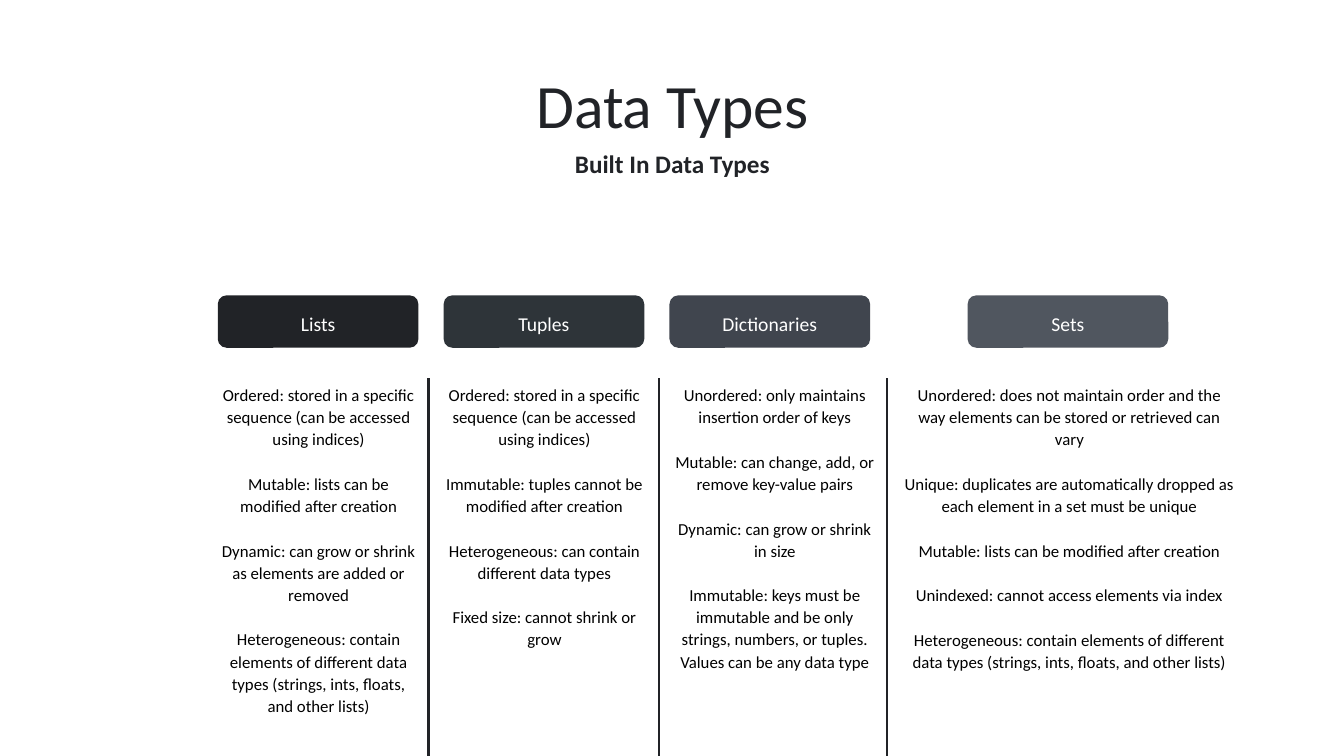
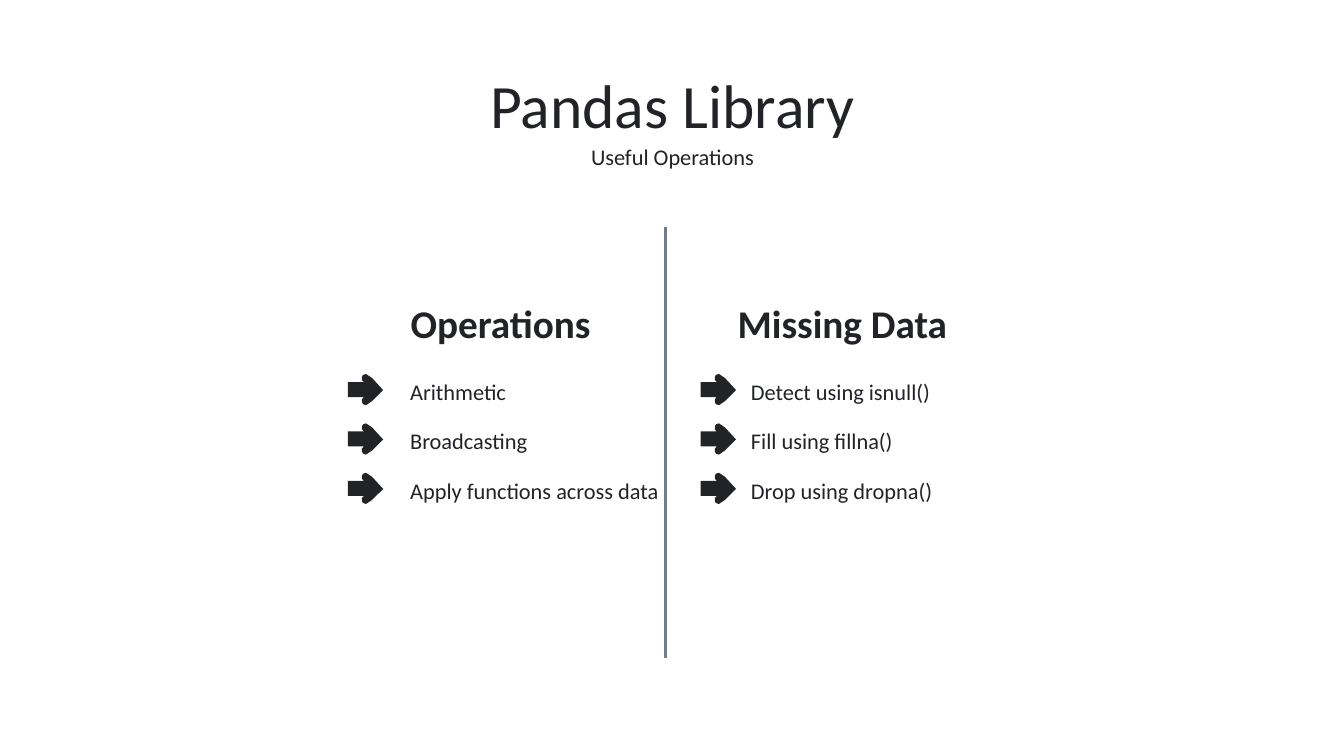
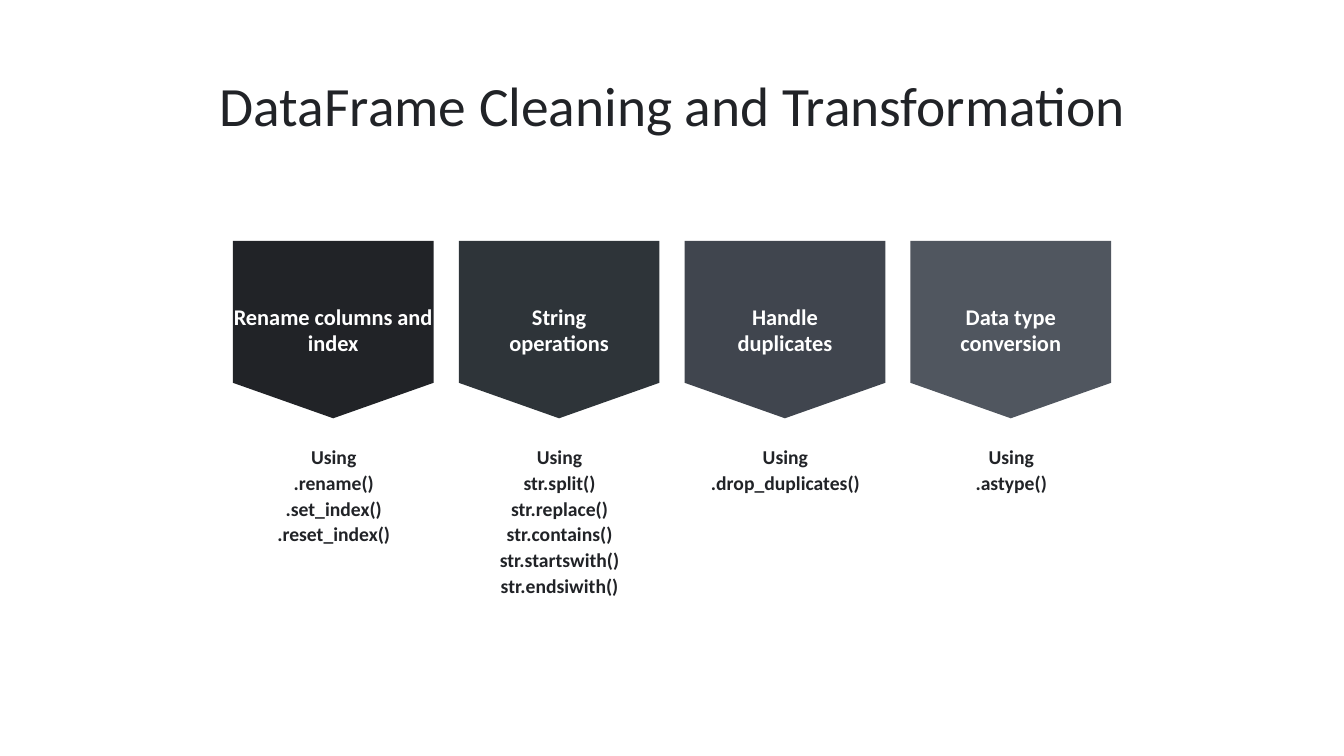
from dataclasses import dataclass

from lxml.etree import SubElement
from pptx import Presentation
from pptx.dml.color import RGBColor
from pptx.enum.shapes import MSO_CONNECTOR, MSO_SHAPE
from pptx.enum.text import MSO_ANCHOR, PP_ALIGN
from pptx.oxml.ns import qn
from pptx.util import Inches, Pt


@dataclass(frozen=True)
class Theme:
    """Colours, font and type sizes shared by the slides."""
    font: str = "Calibri"
    ink: str = "212327"
    black: str = "000000"
    white: str = "FFFFFF"
    rule: str = "717B8A"
    shades: tuple = ("212327", "2E3439", "40454E", "50565F")
    title: float = 44
    long_title: float = 39.6
    section: float = 28
    subtitle: float = 18
    label: float = 16
    heading: float = 14
    detail: float = 12
    rule_width: float = 1.5


@dataclass(frozen=True)
class Grid:
    """Evenly pitched columns and rows, in inches."""
    left: float
    top: float
    column_pitch: float
    row_pitch: float

    def at(self, column, row):
        """Return the left and top of a cell."""
        return (self.left + column * self.column_pitch,
                self.top + row * self.row_pitch)


THEME = Theme()
WIDTH, HEIGHT = 13.33, 7.5
CARD_WIDTH, DETAIL_WIDTH, DETAIL_SHIFT = 1.99, 2.18, -0.09
TYPE_GRID = Grid(2.16, 2.93, 2.24, 0.82)
CLEANING_GRID = Grid(2.31, 2.39, 2.24, 1.95)
OPERATION_GRID = Grid(3.45, 3.7, 3.5, 0.49)

ARROW_HEIGHT = 31
ARROW_UPPER_EDGE = [(0, 8), (16, 8), (14, 6), (14, 3), (15, 1), (18, 0),
                    (21, 2), (24, 4), (35, 15.5)]

DATA_TYPES = [
    ("Lists", 0, 0, DETAIL_WIDTH, [
        "Ordered: stored in a specific sequence (can be accessed using indices)",
        "Mutable: lists can be modified after creation",
        "Dynamic: can grow or shrink as elements are added or removed",
        "Heterogeneous: contain elements of different data types "
        "(strings, ints, floats, and other lists)"]),
    ("Tuples", 1, 1, DETAIL_WIDTH, [
        "Ordered: stored in a specific sequence (can be accessed using indices)",
        "Immutable: tuples cannot be modified after creation",
        "Heterogeneous: can contain different data types",
        "Fixed size: cannot shrink or grow"]),
    ("Dictionaries", 2, 2.02, DETAIL_WIDTH, [
        "Unordered: only maintains insertion order of keys",
        "Mutable: can change, add, or remove key-value pairs",
        "Dynamic: can grow or shrink in size",
        "Immutable: keys must be immutable and be only strings, numbers, "
        "or tuples. Values can be any data type"]),
    ("Sets", 3.32, 3.03, 3.5, [
        "Unordered: does not maintain order and the way elements can be "
        "stored or retrieved can vary",
        "Unique: duplicates are automatically dropped as each element in a "
        "set must be unique",
        "Mutable: lists can be modified after creation",
        "Unindexed: cannot access elements via index",
        "Heterogeneous: contain elements of different data types "
        "(strings, ints, floats, and other lists)"]),
]

OPERATIONS = [
    ("Operations", 2.98, 3.97,
     ["Arithmetic", "Broadcasting", "Apply functions across data"]),
    ("Missing Data", 6.37, 7.35,
     ["Detect using isnull()", "Fill using fillna()", "Drop using dropna()"]),
]

CLEANING_STEPS = [
    ("Rename columns and index", 0,
     ["Using", ".rename()", ".set_index()", ".reset_index()"]),
    ("String operations", 0.25,
     ["Using", "str.split()", "str.replace()", "str.contains()",
      "str.startswith()", "str.endsiwith()"]),
    ("Handle duplicates", 0.25, ["Using", ".drop_duplicates()"]),
    ("Data type conversion", 0.25, ["Using", ".astype()"]),
]


def apply_formats(target, formats):
    """Set each named format value on the target."""
    for name, value in formats.items():
        setattr(target, name, value)


def write(frame, lines, size, color=THEME.ink, bold=False, frame_formats=None,
          gap=0, **paragraph_formats):
    """Fill a text frame with equally styled paragraphs."""
    apply_formats(frame, {"word_wrap": True, **(frame_formats or {})})
    for index, line in enumerate(lines):
        paragraph = frame.add_paragraph() if index else frame.paragraphs[0]
        apply_formats(paragraph, {"alignment": PP_ALIGN.CENTER,
                                  "space_before": Pt(gap if index else 0),
                                  **paragraph_formats})
        run = paragraph.add_run()
        run.text = line
        apply_formats(run.font, {"name": THEME.font, "size": Pt(size),
                                 "bold": bold})
        run.font.color.rgb = RGBColor.from_string(color)


def add_text(slide, left, top, width, height, lines, size, **formats):
    """Place a text box."""
    box = slide.shapes.add_textbox(*map(Inches, (left, top, width, height)))
    write(box.text_frame, lines, size, **formats)


def paint(shape, color):
    """Give a shape a plain fill without outline or shadow."""
    shape.shadow.inherit = False
    shape.fill.solid()
    shape.fill.fore_color.rgb = RGBColor.from_string(color)
    shape.line.fill.background()


def add_card(slide, preset, left, top, height, color, heading, size, bold=False,
             side=0.1, upper=0.05):
    """Place a coloured card holding its heading."""
    card = slide.shapes.add_shape(
        preset, *map(Inches, (left, top, CARD_WIDTH, height)))
    paint(card, color)
    write(card.text_frame, [heading], size, THEME.white, bold,
          {"margin_left": Inches(side), "margin_right": Inches(side),
           "margin_top": Inches(upper), "margin_bottom": Inches(0),
           "vertical_anchor": MSO_ANCHOR.MIDDLE})


def add_divider(slide, x, top, bottom, color):
    """Draw a vertical rule."""
    divider = slide.shapes.add_connector(
        MSO_CONNECTOR.STRAIGHT, *map(Inches, (x, top, x, bottom)))
    divider.line.width = Pt(THEME.rule_width)
    divider.line.color.rgb = RGBColor.from_string(color)
    SubElement(divider.element.spPr, qn("a:effectLst"))


def add_arrow(slide, left, top):
    """Draw a round-shouldered arrow that points right."""
    lower_edge = [(x, ARROW_HEIGHT - y) for x, y in ARROW_UPPER_EDGE[-2::-1]]
    outline = ARROW_UPPER_EDGE + lower_edge
    builder = slide.shapes.build_freeform(*outline[0], scale=Inches(0.01))
    builder.add_line_segments(outline[1:], close=True)
    paint(builder.convert_to_shape(Inches(left), Inches(top)), THEME.ink)


def add_titled_slide(deck, title, size=THEME.title):
    """Start a blank slide with its title."""
    slide = deck.slides.add_slide(deck.slide_layouts[6])
    add_text(slide, 0.92, 0.68, 11.5, 0.79, [title], size, line_spacing=0.9,
             frame_formats={"vertical_anchor": MSO_ANCHOR.MIDDLE})
    return slide


def add_subtitle(slide, top, subtitle, size, bold=False):
    """Place the line below the title."""
    add_text(slide, 0.92, top, 11.5, 0.42, [subtitle], size, bold=bold,
             line_spacing=0.9)


def build_data_types(deck):
    """Compare the built-in data types in four columns."""
    slide = add_titled_slide(deck, "Data Types")
    add_subtitle(slide, 1.46, "Built In Data Types", THEME.subtitle, bold=True)
    for shade, data_type in zip(THEME.shades, DATA_TYPES):
        heading, card_column, detail_column, width, traits = data_type
        add_card(slide, MSO_SHAPE.ROUNDED_RECTANGLE,
                 *TYPE_GRID.at(card_column, 0), 0.52, shade, heading,
                 THEME.heading)
        left, top = TYPE_GRID.at(detail_column, 1)
        left += DETAIL_SHIFT
        add_text(slide, left, top, width, 3.43, traits, THEME.detail,
                 color=THEME.black, line_spacing=1.1, gap=16)
        if detail_column:
            add_divider(slide, left - 0.06, top, HEIGHT, THEME.ink)


def build_pandas(deck):
    """List the useful operations on both sides of a rule."""
    slide = add_titled_slide(deck, "Pandas Library")
    add_subtitle(slide, 1.4, "Useful Operations", THEME.label)
    for column, (section, section_left, label_left, labels) in enumerate(OPERATIONS):
        add_text(slide, section_left, 2.92, 3.97, 0.57, [section],
                 THEME.section, bold=True)
        for row, label in enumerate(labels):
            arrow_left, top = OPERATION_GRID.at(column, row)
            add_arrow(slide, arrow_left, top + 0.01)
            add_text(slide, label_left, top, 2.83, 0.37, [label], THEME.label,
                     alignment=PP_ALIGN.LEFT)
    add_divider(slide, 6.6, HEIGHT * 0.3, HEIGHT * 0.87, THEME.rule)


def build_cleaning(deck):
    """Show the cleaning steps with their methods."""
    slide = add_titled_slide(deck, "DataFrame Cleaning and Transformation",
                             THEME.long_title)
    for column, (step, side, methods) in enumerate(CLEANING_STEPS):
        add_card(slide, MSO_SHAPE.FLOWCHART_OFFPAGE_CONNECTOR,
                 *CLEANING_GRID.at(column, 0), 1.76, THEME.shades[column], step,
                 THEME.label, bold=True, side=side, upper=0.35)
        left, top = CLEANING_GRID.at(column, 1)
        add_text(slide, left + DETAIL_SHIFT, top, DETAIL_WIDTH, 1.13, methods,
                 THEME.heading, bold=True, line_spacing=1.1)


def main():
    """Build and save the deck."""
    deck = Presentation()
    apply_formats(deck, {"slide_width": Inches(WIDTH),
                         "slide_height": Inches(HEIGHT)})
    for build in (build_data_types, build_pandas, build_cleaning):
        build(deck)
    deck.save("out.pptx")


if __name__ == "__main__":
    main()
